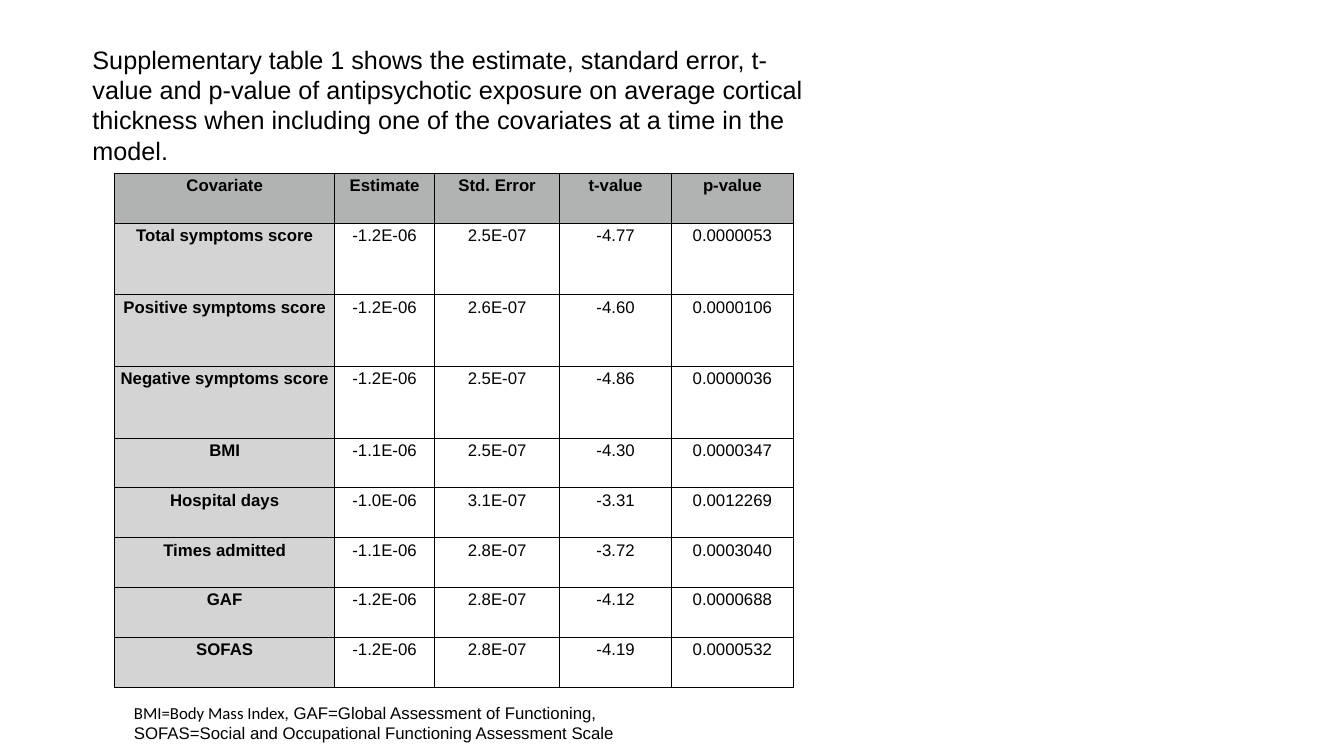
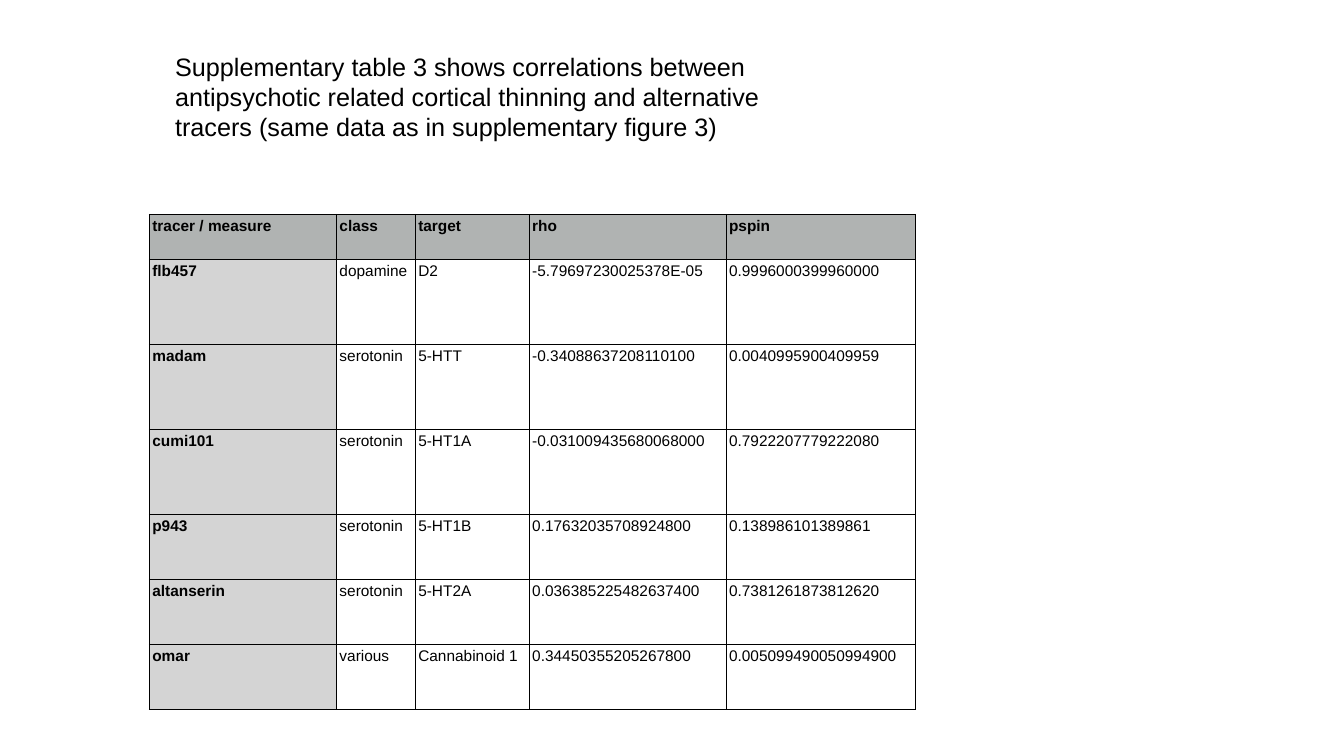
from lxml import etree
from pptx import Presentation
from pptx.dml.color import RGBColor
from pptx.enum import text
from pptx.oxml import ns
from pptx.util import Pt

BLACK, HEAD, SIDE = "000000", "B0B3B2", "D4D4D4"
INSET = Pt(2.2)
BORDER = ('<a:{} xmlns:a="' + ns.nsuri("a") + '" w="9525"><a:solidFill>'
          '<a:srgbClr val="' + BLACK + '"/></a:solidFill></a:{}>')


def rgb(value):
    return RGBColor.from_string(value)


def add_text(s, left, top, width, height, size, paragraphs, wrap=True):
    """Text box; each paragraph is a list of (wording, font name) runs."""
    tf = s.shapes.add_textbox(Pt(left), Pt(top), Pt(width), Pt(height)).text_frame
    tf.word_wrap = wrap
    tf.auto_size = text.MSO_AUTO_SIZE.SHAPE_TO_FIT_TEXT
    for i, runs in enumerate(paragraphs):
        p = tf.paragraphs[0] if i == 0 else tf.add_paragraph()
        p.font.size = Pt(size)
        p.font.color.rgb = rgb(BLACK)
        for wording, name in runs:
            r = p.add_run()
            r.text = wording
            r.font.name = name


# Content of the two slides
pages = [
    dict(
        title="Supplementary table 1 shows the estimate, standard error, t-value and "
              "p-value of antipsychotic exposure on average cortical thickness when "
              "including one of the covariates at a time in the model.",
        title_box=(59, 28, 530.6, 116.6),
        origin=(82, 123.8), size=12, align=text.PP_ALIGN.CENTER,
        widths=[157, 71.5, 89.3, 79.9, 87],
        heights=[35.6] + [51.2] * 3 + [35.6] * 5,
        rows=[
            ("Covariate", "Estimate", "Std. Error", "t-value", "p-value"),
            ("Total symptoms score", "-1.2E-06", "2.5E-07", "-4.77", "0.0000053"),
            ("Positive symptoms score", "-1.2E-06", "2.6E-07", "-4.60", "0.0000106"),
            ("Negative symptoms score", "-1.2E-06", "2.5E-07", "-4.86", "0.0000036"),
            ("BMI", "-1.1E-06", "2.5E-07", "-4.30", "0.0000347"),
            ("Hospital days", "-1.0E-06", "3.1E-07", "-3.31", "0.0012269"),
            ("Times admitted", "-1.1E-06", "2.8E-07", "-3.72", "0.0003040"),
            ("GAF", "-1.2E-06", "2.8E-07", "-4.12", "0.0000688"),
            ("SOFAS", "-1.2E-06", "2.8E-07", "-4.19", "0.0000532"),
        ],
        note=[
            [("BMI=Body Mass Index,", "Calibri"),
             (" GAF=Global Assessment of Functioning,", "Arial")],
            [("SOFAS=Social and Occupational Functioning Assessment Scale", "Arial")],
        ],
    ),
    dict(
        title="Supplementary table 3 shows correlations between antipsychotic related "
              "cortical thinning and alternative tracers (same data as in "
              "supplementary figure 3)",
        title_box=(118, 33, 480, 72.7),
        origin=(106.6, 153), size=11, align=text.PP_ALIGN.LEFT,
        widths=[133.7, 56.3, 81.4, 140.6, 135.2],
        heights=[32.4] + [60.7] * 3 + [46.5] * 3,
        rows=[
            ("tracer / measure", "class", "target", "rho", "pspin"),
            ("flb457", "dopamine", "D2", "-5.79697230025378E-05", "0.9996000399960000"),
            ("madam", "serotonin", "5-HTT", "-0.34088637208110100", "0.0040995900409959"),
            ("cumi101", "serotonin", "5-HT1A", "-0.031009435680068000",
             "0.7922207779222080"),
            ("p943", "serotonin", "5-HT1B", "0.17632035708924800", "0.138986101389861"),
            ("altanserin", "serotonin", "5-HT2A", "0.036385225482637400",
             "0.7381261873812620"),
            ("omar", "various", "Cannabinoid 1", "0.34450355205267800",
             "0.005099490050994900"),
        ],
        note=None,
    ),
]

prs = Presentation()
prs.slide_width, prs.slide_height = Pt(960), Pt(540)

for page in pages:
    s = prs.slides.add_slide(prs.slide_layouts[6])

    # Table grid
    widths, heights = page["widths"], page["heights"]
    left, top = page["origin"]
    table = s.shapes.add_table(len(heights), len(widths), Pt(left), Pt(top),
                               Pt(sum(widths)), Pt(sum(heights))).table
    table.horz_banding = False
    for column, width in zip(table.columns, widths):
        column.width = Pt(width)
    for row, height in zip(table.rows, heights):
        row.height = Pt(height)

    # Table cells
    for i, values in enumerate(page["rows"]):
        for j, value in enumerate(values):
            cell = table.cell(i, j)
            cell.margin_left = cell.margin_right = INSET
            cell.margin_top = cell.margin_bottom = INSET
            tcPr = cell._tc.get_or_add_tcPr()
            for side in ("lnL", "lnR", "lnT", "lnB"):
                tcPr.append(etree.fromstring(BORDER.format(side, side)))
            if i == 0 or j == 0:
                cell.fill.solid()
                cell.fill.fore_color.rgb = rgb(HEAD if i == 0 else SIDE)
            else:
                cell.fill.background()
            cell.text = value
            p = cell.text_frame.paragraphs[0]
            p.alignment = page["align"]
            p.font.name = "Arial"
            p.font.size = Pt(page["size"])
            p.font.bold = i == 0 or j == 0
            p.font.color.rgb = rgb(BLACK)

    # Title and abbreviations
    add_text(s, *page["title_box"], 18, [[(page["title"], "Arial")]])
    if page["note"]:
        add_text(s, 88.6, 498.2, 362.9, 36, 12, page["note"], wrap=False)

prs.save("out.pptx")
